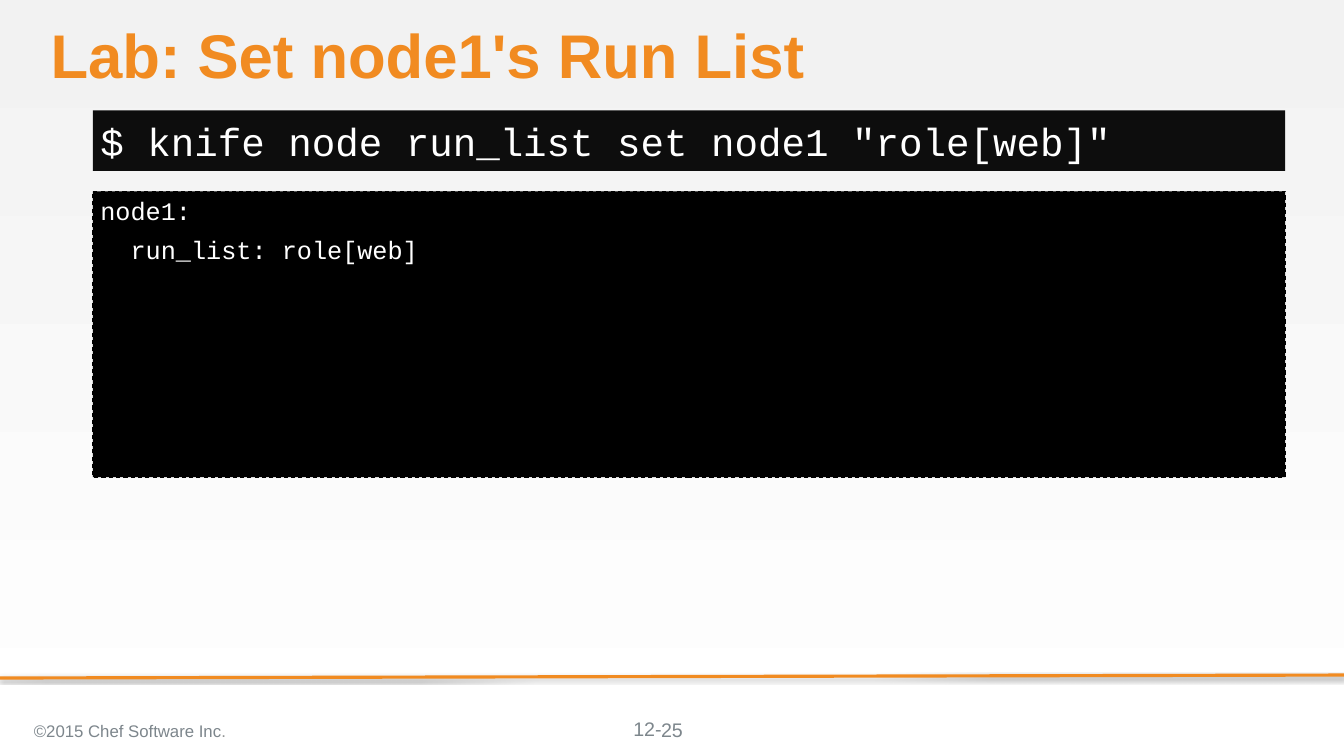
from lxml import etree
from pptx import Presentation
from pptx.dml.color import RGBColor
from pptx.enum.dml import MSO_LINE
from pptx.enum.shapes import MSO_CONNECTOR, MSO_SHAPE
from pptx.enum.text import MSO_ANCHOR, PP_ALIGN
from pptx.oxml import parse_xml
from pptx.oxml.ns import nsdecls
from pptx.util import Cm, Pt

TOP, MIDDLE = MSO_ANCHOR.TOP, MSO_ANCHOR.MIDDLE
LEFT, CENTER = PP_ALIGN.LEFT, PP_ALIGN.CENTER
RECT, STRAIGHT, DASH = MSO_SHAPE.RECTANGLE, MSO_CONNECTOR.STRAIGHT, MSO_LINE.DASH

# Content: each paragraph is a list of (text, colour) runs
TITLE = [[("Lab: Set node1's Run List", "orange")]]
COMMAND = [[('$ knife node run_list set node1 "role[web]"', "white")]]
OUTPUT = [[("node1:", "white")], [("  run_list: role[web]", "white")]]
COPYRIGHT = [[("©2015 Chef Software Inc", "grey"), (".", "light_grey")]]
CHAPTER = [[("12-", "grey")]]
PAGE = [[("25", "grey")]]

THEME = {
    "colors": {"orange": "F18B21", "white": "FFFFFF", "black": "000000",
               "prompt": "0D0D0D", "grey": "7D868C", "light_grey": "929494",
               "bg_top": "F2F2F2"},
    "styles": {"title": ("Arial", 58.7, True), "command": ("Courier New", 37.3, False),
               "output": ("Courier New", 24, False), "footer": ("Arial", 16, False),
               "page": ("Arial", 18.7, False)},
}

# Layout in centimetres
WIDTH, HEIGHT = 45.16, 25.4
PANEL_X, PANEL_W = 3.12, 40.06
FOOTER_Y = 23.83
DEFAULT_INSETS = (0.25, 0.13, 0.25, 0.13)
NO_INSETS = (0, 0, 0, 0)


def rgb(name):
    return RGBColor.from_string(THEME["colors"][name])


def write(sp, paragraphs, style, anchor=TOP, align=LEFT, insets=DEFAULT_INSETS,
          spacing=None, gap=0):
    font, size, bold = THEME["styles"][style]
    tf = sp.text_frame
    tf.word_wrap = True
    tf.vertical_anchor = anchor
    tf.margin_left, tf.margin_top, tf.margin_right, tf.margin_bottom = map(Cm, insets)
    for i, runs in enumerate(paragraphs):
        p = tf.add_paragraph() if i else tf.paragraphs[0]
        p.alignment = align
        p.line_spacing = spacing
        p.space_before = Pt(gap if i else 0)
        for text, color in runs:
            r = p.add_run()
            r.text = text
            r.font.name, r.font.size, r.font.bold = font, Pt(size), bold
            r.font.color.rgb = rgb(color)


def add_text(s, box, paragraphs, style, **options):
    write(s.shapes.add_textbox(*map(Cm, box)), paragraphs, style, **options)


def add_panel(s, top, height, color):
    sp = s.shapes.add_shape(RECT, Cm(PANEL_X), Cm(top), Cm(PANEL_W), Cm(height))
    sp.shadow.inherit = False
    sp.fill.solid()
    sp.fill.fore_color.rgb = rgb(color)
    sp.line.fill.background()
    return sp


prs = Presentation()
prs.slide_width, prs.slide_height = Cm(WIDTH), Cm(HEIGHT)
s = prs.slides.add_slide(prs.slide_layouts[6])

# Background, shaded from top to bottom
fill = s.background.fill
fill.gradient()
fill.gradient_angle = 270
for stop, position, color in zip(fill.gradient_stops, (0, 1), ("bg_top", "white")):
    stop.position = position
    stop.color.rgb = rgb(color)

# Footer rule with a soft shadow
rule = s.shapes.add_connector(STRAIGHT, Cm(WIDTH), Cm(22.68), Cm(0), Cm(22.78))
rule.line.color.rgb = rgb("orange")
rule.line.width = Pt(3)
effects = parse_xml(f"<a:effectLst {nsdecls('a')}/>")
shadow = etree.SubElement(effects, effects.tag.replace("effectLst", "outerShdw"),
                          blurRad=str(Pt(3.1)), dist=str(Pt(1.8)), dir="5400000",
                          rotWithShape="0")
shade = etree.SubElement(shadow, effects.tag.replace("effectLst", "srgbClr"),
                         val=THEME["colors"]["black"])
etree.SubElement(shade, effects.tag.replace("effectLst", "alpha"), val="35000")
rule.element.spPr.append(effects)

# Title
add_text(s, (1.7, 0.84, 41.48, 2.31), TITLE, "title", insets=NO_INSETS, spacing=0.9)

# Terminal output and command
output = add_panel(s, 6.43, 9.6, "black")
output.line.color.rgb = rgb("black")
output.line.width = Pt(1)
output.line.dash_style = DASH
write(output, OUTPUT, "output", gap=8)
command = add_panel(s, 3.71, 2.03, "prompt")
write(command, COMMAND, "command", anchor=MIDDLE, insets=(0.25, 0, 0, 0))

# Footer: copyright, chapter and page
add_text(s, (0.89, FOOTER_Y, 15.77, 1.42), COPYRIGHT, "footer", anchor=MIDDLE)
add_text(s, (21.18, 24.1, 2.03, 0.79), CHAPTER, "page", insets=(0.1, 0, 0, 0))
add_text(s, (17.5, FOOTER_Y, 10.16, 1.35), PAGE, "page", anchor=MIDDLE, align=CENTER)

prs.save("out.pptx")
